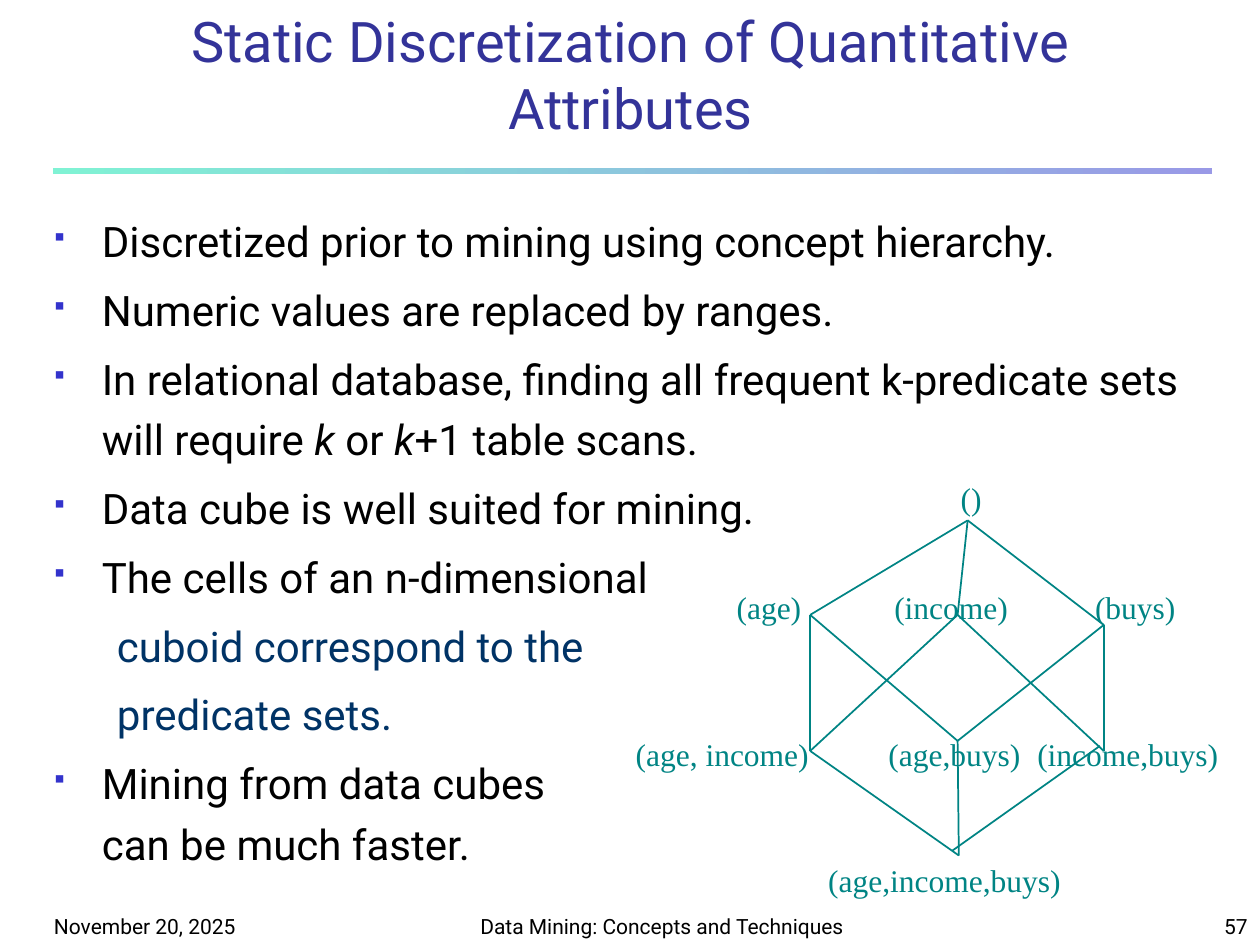
from lxml.etree import SubElement
from pptx import Presentation
from pptx.dml.color import RGBColor
from pptx.enum.shapes import MSO_CONNECTOR as Connector, MSO_SHAPE as Shape
from pptx.enum.text import MSO_ANCHOR as Anchor, MSO_AUTO_SIZE as AutoSize, PP_ALIGN as Align
from pptx.oxml.ns import qn
from pptx.util import Inches, Pt

SANS, SERIF, SYMBOL = "Roboto", "Times New Roman", "Wingdings"
BLACK, NAVY, TITLE, BULLET, TEAL = "000000", "003366", "333399", "3333CC", "008484"

BULLETS = [
    (0, "Discretized prior to mining using concept hierarchy."),
    (0, "Numeric values are replaced by ranges."),
    (0, "In relational database, finding all frequent k-predicate sets "
        "will require *k* or *k*+1 table scans."),
    (0, "Data cube is well suited for mining."),
    (0, "The cells of an n-dimensional"),
    (1, "cuboid correspond to the"),
    (1, "predicate sets."),
    (0, "Mining from data cubes\vcan be much faster."),
]
FOOTERS = [
    ("November 20, 2025", 0.33, 2.08, Align.LEFT),
    ("Data Mining: Concepts and Techniques", 3.67, 3.17, Align.CENTER),
    ("57", 7.92, 2.08, Align.RIGHT),
]
LABELS = [
    ("()", 7.6, 3.8, 0.19),
    ("(age)", 5.81, 4.67, 0.55),
    ("(income)", 7.07, 4.67, 0.93),
    ("(buys)", 8.67, 4.67, 0.66),
    ("(age, income)", 5.02, 5.83, 1.4),
    ("(age,buys)", 7.03, 5.83, 1.07),
    ("(income,buys)", 8.21, 5.83, 1.46),
    ("(age,income,buys)", 6.55, 6.83, 1.87),
]
APEX, BASE = (7.68, 4.13), (7.61, 6.79)
AGE, INCOME, BUYS = (6.43, 4.88), (7.6, 4.88), (8.76, 4.96)
AGE_INCOME, AGE_BUYS, INCOME_BUYS = (6.43, 5.96), (7.6, 5.88), (8.76, 5.96)
EDGES = [
    (APEX, AGE), (APEX, INCOME), (APEX, BUYS),
    (AGE, AGE_INCOME), (AGE, AGE_BUYS),
    (INCOME, AGE_INCOME), (INCOME, INCOME_BUYS),
    (BUYS, AGE_BUYS), (BUYS, INCOME_BUYS),
    (AGE_INCOME, BASE), (AGE_BUYS, BASE), ((8.73, 5.92), (7.56, 6.75)),
]


def color(value):
    return RGBColor.from_string(value)


class SlideBuilder:
    def __init__(self, page):
        self.page = page

    def style(self, para, size, name, value, align=Align.LEFT):
        para.alignment = align
        para.font.size = Pt(size)
        para.font.name = name
        para.font.color.rgb = color(value)

    def title(self, text):
        box = self.page.shapes.title
        box.left, box.top, box.width, box.height = map(Inches, (0.42, 0.42, 9.17, 0.75))
        frame = box.text_frame
        frame.text = text
        frame.word_wrap = True
        frame.auto_size = AutoSize.NONE
        frame.vertical_anchor = Anchor.BOTTOM
        self.style(frame.paragraphs[0], 32, SANS, TITLE, Align.CENTER)

    def rule(self):
        bar = self.page.shapes.add_shape(
            Shape.RECTANGLE, *map(Inches, (0.42, 1.33, 9.2, 0.05)))
        bar.shadow.inherit = False
        bar.line.fill.background()
        bar.fill.gradient()
        bar.fill.gradient_angle = 0
        for stop, value in zip(bar.fill.gradient_stops, ("80F2D4", "9999E6")):
            stop.color.rgb = color(value)

    def frame(self, left, top, width, height):
        box = self.page.shapes.add_textbox(*map(Inches, (left, top, width, height)))
        box.text_frame.word_wrap = True
        return box.text_frame

    def footer(self, text, left, width, align):
        frame = self.frame(left, 7.08, width, 0.42)
        frame.vertical_anchor = Anchor.BOTTOM
        frame.text = text
        self.style(frame.paragraphs[0], 12, SANS, BLACK, align)

    def label(self, text, left, top, width):
        frame = self.frame(left, top, width, 0.3)
        frame.word_wrap = False
        frame.auto_size = AutoSize.SHAPE_TO_FIT_TEXT
        frame.margin_left = frame.margin_right = frame.margin_top = frame.margin_bottom = 0
        frame.text = text
        self.style(frame.paragraphs[0], 18, SERIF, TEAL, Align.RIGHT)

    def bullet(self, para, level):
        margin, indent = ((0.38, -0.38), (0.81, -0.31))[level]
        props = para._p.get_or_add_pPr()
        props.set("marL", str(Inches(margin)))
        props.set("indent", str(Inches(indent)))
        if level:
            SubElement(props, qn("a:buNone"))
            return
        tint = SubElement(props, qn("a:buClr"))
        SubElement(tint, qn("a:srgbClr"), val=BULLET)
        SubElement(props, qn("a:buSzPct"), val="60000")
        SubElement(props, qn("a:buFont"), typeface=SYMBOL, charset="2")
        SubElement(props, qn("a:buChar"), char="§")

    def body(self, items):
        frame = self.frame(0.33, 1.58, 9.25, 5.67)
        for index, (level, text) in enumerate(items):
            para = frame.add_paragraph() if index else frame.paragraphs[0]
            parts = text.split("*")
            if len(parts) == 1:
                para.text = text
            else:
                for position, part in enumerate(parts):
                    span = para.add_run()
                    span.text = part
                    if position % 2:
                        span.font.italic = True
            para.level = level
            self.bullet(para, level)
            para.line_spacing = 1.2
            para.space_before = Pt(4.8 if index else 0)
            self.style(para, 24, SANS, NAVY if level else BLACK)

    def edge(self, start, end):
        line = self.page.shapes.add_connector(
            Connector.STRAIGHT, *map(Inches, (*start, *end)))
        line.line.color.rgb = color(TEAL)
        line.line.width = Pt(1)
        SubElement(line._element.spPr, qn("a:effectLst"))


def main():
    deck = Presentation()
    deck.slide_width, deck.slide_height = Inches(10), Inches(7.5)
    builder = SlideBuilder(deck.slides.add_slide(deck.slide_layouts[5]))
    builder.rule()
    for footer in FOOTERS:
        builder.footer(*footer)
    builder.title("Static Discretization of Quantitative Attributes")
    builder.body(BULLETS)
    for edge in EDGES:
        builder.edge(*edge)
    for label in LABELS:
        builder.label(*label)
    deck.save("out.pptx")


if __name__ == "__main__":
    main()
